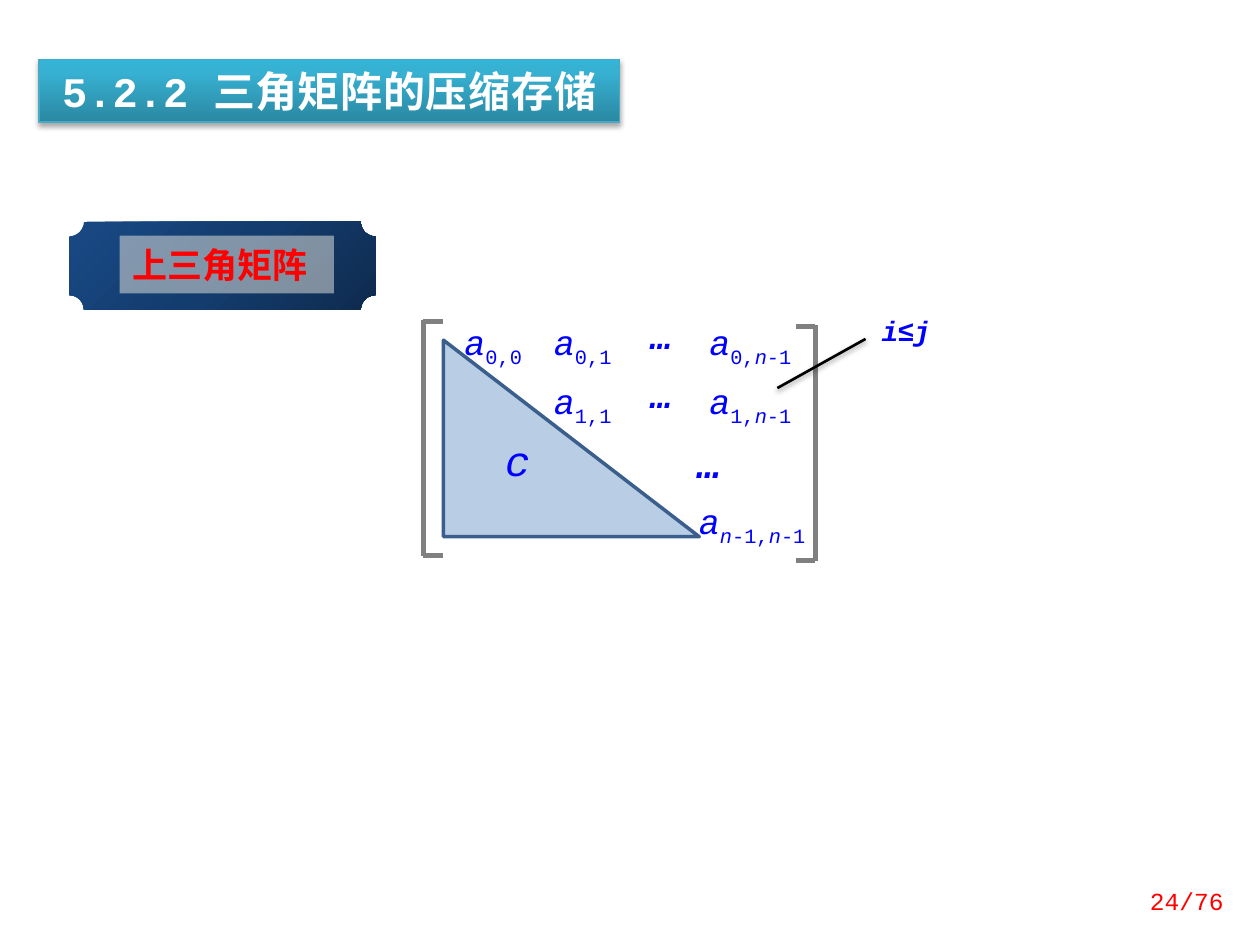
from itertools import groupby

from lxml import etree
from pptx import Presentation
from pptx import util as u
from pptx.dml.color import RGBColor
from pptx.enum import shapes, text
from pptx.oxml import parse_xml
from pptx.oxml.ns import nsdecls, qn

BLUE = RGBColor(0x00, 0x00, 0xFF)
RED = RGBColor(0xFF, 0x00, 0x00)
WHITE = RGBColor(0xFF, 0xFF, 0xFF)
BLACK = RGBColor(0x00, 0x00, 0x00)
GRAY = RGBColor(0x80, 0x80, 0x80)
CREAM = RGBColor(0xEE, 0xEC, 0xE1)
TRIANGLE_FILL = RGBColor(0xB9, 0xCD, 0xE5)
TRIANGLE_LINE = RGBColor(0x3A, 0x5F, 0x8C)
TITLE_LINE = RGBColor(0x46, 0xAA, 0xC5)
TITLE_STOPS = [(0, RGBColor(0x2A, 0x88, 0xA2)), (80, RGBColor(0x37, 0xB1, 0xD2)),
               (100, RGBColor(0x34, 0xB4, 0xD6))]
PLAQUE_STOPS = [(0, RGBColor(0x0E, 0x2B, 0x4E)), (50, RGBColor(0x14, 0x3D, 0x6F)),
                (100, RGBColor(0x18, 0x48, 0x84))]
LINEAR_UP = '<a:lin ang="16200000" scaled="0"/>'
FROM_CORNER = '<a:path path="circle"><a:fillToRect l="100000" t="100000"/></a:path>'

MONO, CJK = "Courier New", "Noto Sans CJK SC"
CENTER, RIGHT = text.PP_ALIGN.CENTER, text.PP_ALIGN.RIGHT
TOP, MIDDLE = text.MSO_ANCHOR.TOP, text.MSO_ANCHOR.MIDDLE
GROW = text.MSO_AUTO_SIZE.SHAPE_TO_FIT_TEXT


def inches(box):
    return [u.Inches(v) for v in box]


def set_attrs(obj, values):
    for key, value in values.items():
        setattr(obj, key, value)


def write(sp, runs, size, color, align=None, spacing=None, inset=None, **frame):
    tf = sp.text_frame
    set_attrs(tf, {"word_wrap": True, "vertical_anchor": TOP, **frame})
    if inset is not None:
        for side in ("left", "top", "right", "bottom"):
            setattr(tf, f"margin_{side}", u.Inches(inset))
    p = tf.paragraphs[0]
    set_attrs(p, {"alignment": align, "line_spacing": spacing})
    for content, fmt, attrs in runs:
        r = p.add_run()
        r.text = content
        set_attrs(r.font, {"name": MONO, "size": u.Pt(size), **fmt})
        r.font.color.rgb = color
        rpr = r._r.get_or_add_rPr()
        for key, value in attrs.items():
            rpr.set(key, value)
        rpr.find(qn("a:latin")).addnext(
            parse_xml(f'<a:ea {nsdecls("a")} typeface="{CJK}"/>'))
    return p


def add_label(s, box, runs, size, color=BLUE, **fmt):
    write(s.shapes.add_textbox(*inches(box)), runs, size, color, **fmt)


def add_math(s, box, runs, size=20, **fmt):
    add_label(s, box, runs, size,
              **{"align": CENTER, "spacing": 0.8, "inset": 0, "auto_size": GROW, **fmt})


def add_entry(s, left, top, subscript, width=0.79):
    runs = [("a", {"italic": True}, {})]
    for is_n, chars in groupby(subscript, key=lambda ch: ch == "n"):
        runs.append(("".join(chars), {"italic": is_n}, {"baseline": "-25000"}))
    add_math(s, (left, top, width, 0.27), runs)


def add_dots(s, left, top, size=20):
    add_math(s, (left, top, 0.63, 0.27), [("…", {"bold": True, "italic": True}, {})], size)


def add_shadow(sp, alpha, blur, dist):
    spPr = sp._element.spPr
    effects = spPr.find(qn("a:effectLst"))
    if effects is None:
        effects = etree.SubElement(spPr, qn("a:effectLst"))
    effects.append(parse_xml(
        f'<a:outerShdw {nsdecls("a")} blurRad="{u.Pt(blur)}" dist="{u.Pt(dist)}" '
        f'dir="5400000" rotWithShape="0"><a:srgbClr val="{BLACK}">'
        f'<a:alpha val="{alpha * 1000}"/></a:srgbClr></a:outerShdw>'))


def add_line(s, start, end, color, width):
    cx = s.shapes.add_connector(shapes.MSO_CONNECTOR.STRAIGHT, *inches(start + end))
    cx.line.color.rgb = color
    cx.line.width = u.Pt(width)
    etree.SubElement(cx._element.spPr, qn("a:effectLst"))
    return cx


def add_bracket(s, x, top, bottom, tip):
    for start, end in [((x, top), (x, bottom)), ((x, top + 0.01), (tip, top + 0.01)),
                       ((x, bottom), (tip, bottom))]:
        add_line(s, start, end, GRAY, 3)


def add_shape(s, kind, box, fill=None, line=None, width=1):
    sp = s.shapes.add_shape(kind, *inches(box))
    sp.shadow.inherit = False
    if fill is None:
        sp.fill.background()
    else:
        sp.fill.solid()
        sp.fill.fore_color.rgb = fill
    if line is None:
        sp.line.fill.background()
    else:
        sp.line.color.rgb = line
        sp.line.width = u.Pt(width)
    return sp


def set_gradient(sp, stops, direction):
    gs = "".join(f'<a:gs pos="{pos * 1000}"><a:srgbClr val="{color}"/></a:gs>'
                 for pos, color in stops)
    spPr = sp._element.spPr
    spPr.replace(spPr.find(qn("a:noFill")), parse_xml(
        f'<a:gradFill {nsdecls("a")} rotWithShape="1"><a:gsLst>{gs}</a:gsLst>'
        f'{direction}</a:gradFill>'))


def add_title(s):
    sp = add_shape(s, shapes.MSO_SHAPE.RECTANGLE, (0.31, 0.47, 4.61, 0.5),
                   line=TITLE_LINE, width=0.75)
    set_gradient(sp, TITLE_STOPS, LINEAR_UP)
    add_shadow(sp, 35, 3.1, 1.8)
    write(sp, [("5.2.2 三角", {"bold": True}, {}),
               ("矩阵的压缩存储", {"bold": True}, {"spc": "50"})],
          24, WHITE, align=CENTER, auto_size=GROW)


def add_plaque(s):
    plaque = add_shape(s, shapes.MSO_SHAPE.PLAQUE, (0.55, 1.76, 2.43, 0.7))
    plaque.adjustments[0] = 0.167
    set_gradient(plaque, PLAQUE_STOPS, FROM_CORNER)
    panel = add_shape(s, shapes.MSO_SHAPE.RECTANGLE, (0.95, 1.87, 1.7, 0.46), CREAM)
    color = panel._element.spPr.find(qn("a:solidFill"))[0]
    etree.SubElement(color, qn("a:alpha"), val="50000")
    p = write(panel, [("上三角矩阵", {"bold": True, "name": CJK}, {})], 20, RED,
              align=text.PP_ALIGN.LEFT, vertical_anchor=MIDDLE, word_wrap=False)
    pPr = p._p.get_or_add_pPr()
    pPr.set("marL", str(u.Inches(0.5)))
    pPr.set("indent", str(u.Inches(-0.5)))


def add_matrix(s):
    add_bracket(s, 3.36, 2.54, 4.41, 3.52)
    add_bracket(s, 6.47, 2.58, 4.45, 6.32)
    add_shape(s, shapes.MSO_SHAPE.RIGHT_TRIANGLE, (3.52, 2.7, 2.03, 1.56),
              TRIANGLE_FILL, TRIANGLE_LINE, 2)
    add_entry(s, 3.52, 2.58, "0,0")
    for row, top in enumerate((2.58, 3.05)):
        add_entry(s, 4.23, top, f"{row},1")
        add_dots(s, 4.93, top - 0.02)
        add_entry(s, 5.56, top, f"{row},n-1")
    add_dots(s, 5.31, 3.56, 22)
    add_entry(s, 5.45, 4, "n-1,n-1", 1.04)
    add_math(s, (3.91, 3.48, 0.39, 0.43), [("c", {"italic": True}, {})], 24,
             align=None, inset=None)


def add_condition(s):
    add_shadow(add_line(s, (6.17, 3.08), (6.87, 2.69), BLACK, 1.5), 38, 3.1, 1.6)
    slanted = {"bold": True, "italic": True}
    add_math(s, (6.72, 2.49, 0.94, 0.32),
             [("i", slanted, {}), ("≤", {"bold": True, "name": "Arial"}, {}),
              ("j", slanted, {})], 16, inset=None)


def main():
    prs = Presentation()
    prs.slide_width, prs.slide_height = inches((10, 7.5))
    s = prs.slides.add_slide(prs.slide_layouts[6])
    add_matrix(s)
    add_condition(s)
    add_plaque(s)
    add_title(s)
    add_label(s, (8.83, 6.95, 0.98, 0.4), [("24/76", {}, {})], 14, RED,
              align=RIGHT, vertical_anchor=MIDDLE)
    prs.save("out.pptx")


if __name__ == "__main__":
    main()
